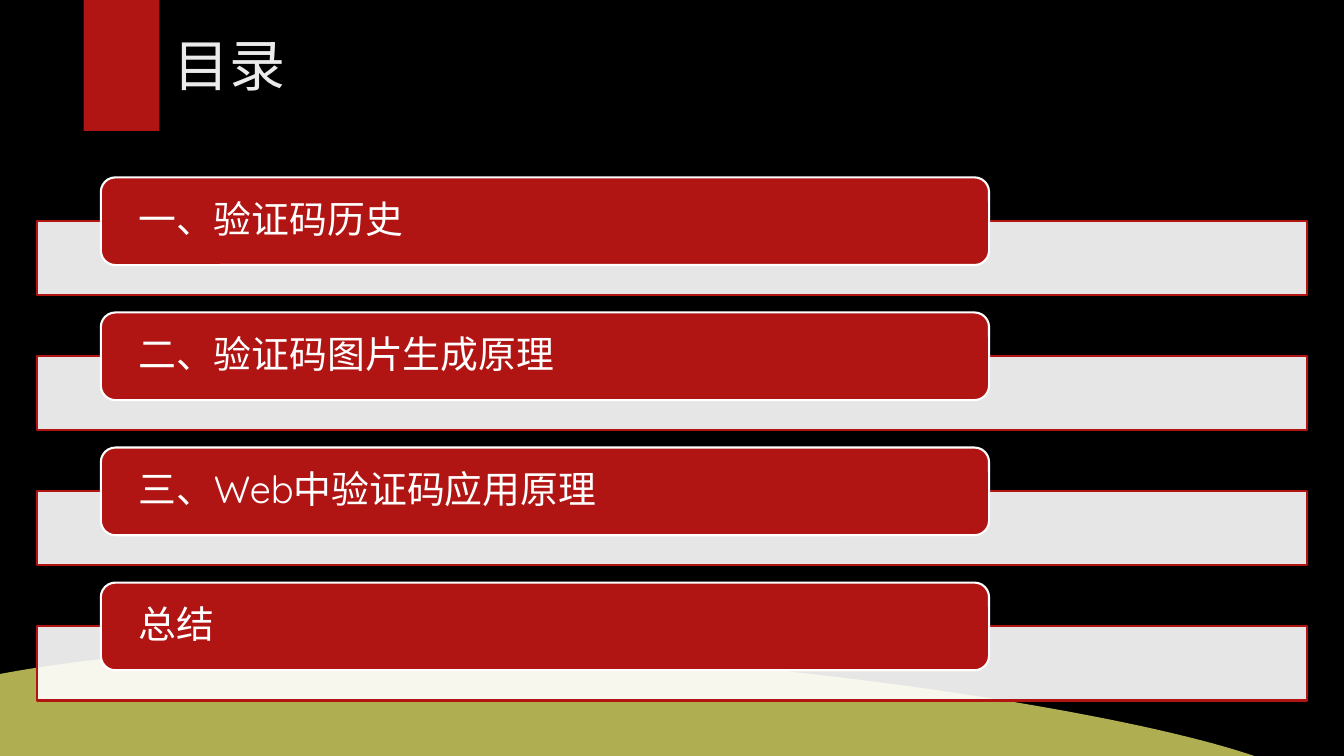
from lxml import etree
from pptx import Presentation
from pptx.dml.color import RGBColor as Rgb
from pptx.enum.shapes import MSO_SHAPE as Kind
from pptx.enum.text import MSO_ANCHOR as Anchor, PP_ALIGN as Align
from pptx.oxml.ns import qn
from pptx.util import Inches, Pt

TITLE = "目录"
ITEMS = ["一、验证码历史", "二、验证码图片生成原理", "三、Web中验证码应用原理", "总结"]
COLORS = {"back": "000000", "red": "B01513", "hill": "AFAF51",
          "white": "FFFFFF", "title": "EBEBEB"}
LATIN, CJK = "Quicksand", "Noto Sans CJK SC"

# Left, top, width, height of the first row; later rows follow at STEP
BAR = (0.37, 2.19, 12.59, 0.74)
LABEL = (1, 1.76, 8.81, 0.87)
STEP = 1.34
TAB = (0.83, 0, 0.75, 1.3)
HEAD = (1.62, 0, 11.33, 1.27)
CURVE = [(-0.02, 6.69), (3.82, 5.96), (10.54, 6.84), (12.47, 7.51)]


def color(name):
    return Rgb.from_string(COLORS[name])


def paint(shape, fill, line=None):
    shape.shadow.inherit = False
    shape.fill.solid()
    shape.fill.fore_color.rgb = color(fill)
    if line:
        shape.line.color.rgb = color(line)
        shape.line.width = Pt(1.5)
    else:
        shape.line.fill.background()


def add_box(slide, kind, box, fill, line=None):
    shape = slide.shapes.add_shape(kind, *map(Inches, box))
    paint(shape, fill, line)
    return shape


def fade(shape, percent):
    """Set the opacity of a solid fill."""
    tint = shape.fill._xPr.find(qn("a:solidFill"))[0]
    etree.SubElement(tint, qn("a:alpha"), val=str(percent * 1000))


def write(shape, text, size, ink, font, inset=0.1, space=1.0):
    frame = shape.text_frame
    frame.word_wrap = True
    frame.vertical_anchor = Anchor.MIDDLE
    frame.margin_left = frame.margin_right = Inches(inset)
    frame.margin_top = frame.margin_bottom = 0
    para = frame.paragraphs[0]
    para.alignment = Align.LEFT
    para.line_spacing = space
    run = para.add_run()
    run.text = text
    run.font.size = Pt(size)
    run.font.name = font
    run.font.color.rgb = color(ink)
    etree.SubElement(run.font._element, qn("a:ea"), typeface=CJK)


def bezier(points, count=60):
    """Sample a cubic curve as points in EMU."""
    for i in range(count + 1):
        t = i / count
        u = 1 - t
        parts = (u ** 3, 3 * u * u * t, 3 * u * t * t, t ** 3)
        yield tuple(Inches(sum(w * p[axis] for w, p in zip(parts, points)))
                    for axis in (0, 1))


def add_hill(slide):
    first, *rest = bezier(CURVE)
    pen = slide.shapes.build_freeform(*first)
    pen.add_line_segments(rest + [(first[0], rest[-1][1])], close=True)
    paint(pen.convert_to_shape(), "hill")


def add_row(slide, index, text):
    def place(box):
        left, top, width, height = box
        return left, top + index * STEP, width, height

    bar = add_box(slide, Kind.RECTANGLE, place(BAR), "white", "red")
    fade(bar, 90)
    label = add_box(slide, Kind.ROUNDED_RECTANGLE, place(LABEL), "red", "white")
    write(label, text, 27, "white", LATIN, inset=0.33, space=0.9)


def main():
    deck = Presentation()
    deck.slide_width, deck.slide_height = Inches(13.33), Inches(7.5)
    slide = deck.slides.add_slide(deck.slide_layouts[6])
    slide.background.fill.solid()
    slide.background.fill.fore_color.rgb = color("back")

    add_box(slide, Kind.RECTANGLE, TAB, "red")
    add_hill(slide)
    for index, text in enumerate(ITEMS):
        add_row(slide, index, text)
    head = slide.shapes.add_textbox(*map(Inches, HEAD))
    write(head, TITLE, 40, "title", CJK)
    deck.save("out.pptx")


if __name__ == "__main__":
    main()
